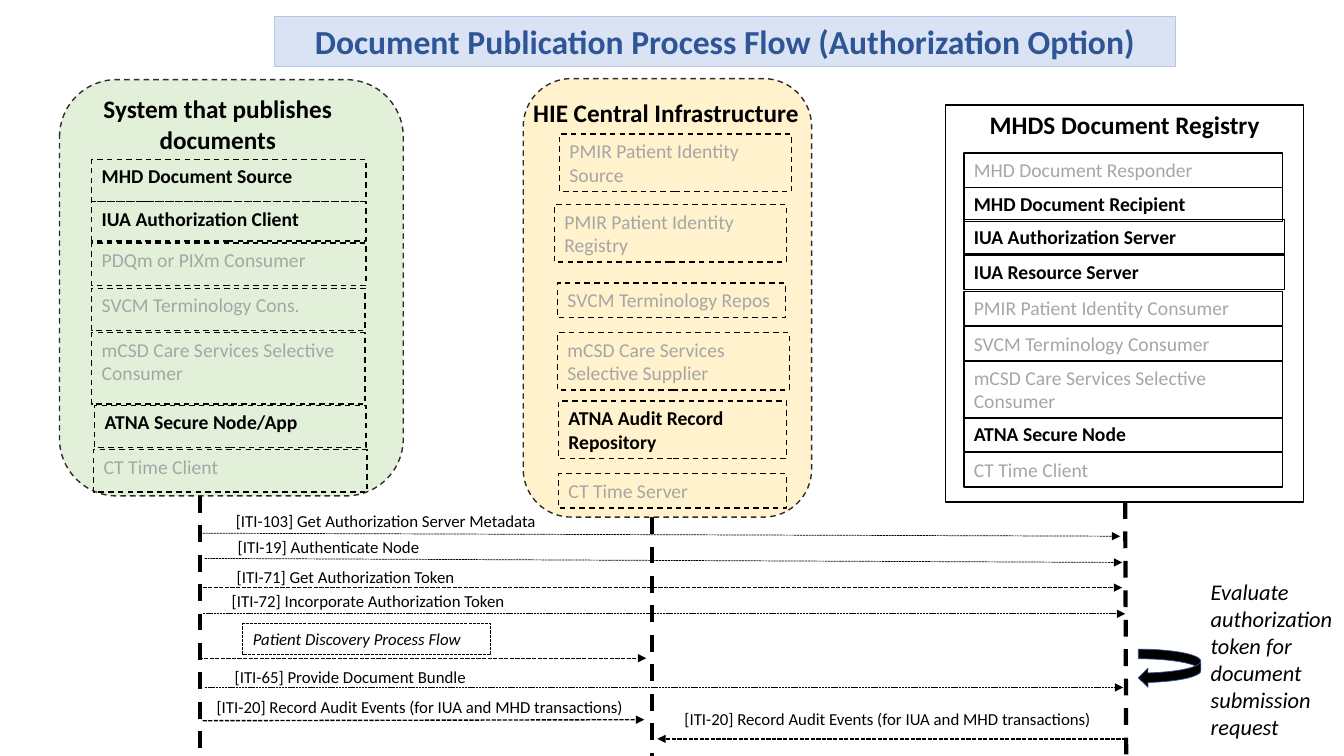
from lxml import etree
from pptx import Presentation
from pptx.dml.color import RGBColor
from pptx.enum.dml import MSO_LINE
from pptx.enum.shapes import MSO_CONNECTOR, MSO_SHAPE
from pptx.enum.text import MSO_ANCHOR, PP_ALIGN
from pptx.oxml.ns import qn
from pptx.util import Inches, Pt

DASH, FINE_DASH = MSO_LINE.DASH, MSO_LINE.SQUARE_DOT
LEFT, CENTER, TOP = PP_ALIGN.LEFT, PP_ALIGN.CENTER, MSO_ANCHOR.TOP
RECTANGLE, ROUNDED = MSO_SHAPE.RECTANGLE, MSO_SHAPE.ROUNDED_RECTANGLE
CURVED_ARROW = MSO_SHAPE.CURVED_RIGHT_ARROW
STRAIGHT = MSO_CONNECTOR.STRAIGHT

BLACK = RGBColor(0x00, 0x00, 0x00)
WHITE = RGBColor(0xFF, 0xFF, 0xFF)
GRAY = RGBColor(0xA6, 0xA6, 0xA6)
GREEN = RGBColor(0xE2, 0xF0, 0xD9)
YELLOW = RGBColor(0xFF, 0xF2, 0xCC)
PALE_BLUE = RGBColor(0xDA, 0xE3, 0xF3)
SOFT_BLUE = RGBColor(0xB4, 0xC7, 0xE7)
DARK_BLUE = RGBColor(0x2F, 0x55, 0x97)
ARROW_BLUE = RGBColor(0x32, 0x54, 0x91)

ACTIVE = {"bold": True, "color": BLACK}
INACTIVE = {"bold": False, "color": GRAY}
HEADING = {"size": 18, "bold": True}

PUBLISHER_ACTORS = [
    ("MHD Document Source", ACTIVE, (0.91, 1.58, 2.72, 0.42)),
    ("IUA Authorization Client", ACTIVE, (0.91, 2.0, 2.72, 0.39)),
    ("PDQm or PIXm Consumer", INACTIVE, (0.91, 2.41, 2.72, 0.42)),
    ("SVCM Terminology Cons.", INACTIVE, (0.91, 2.86, 2.71, 0.42)),
    ("mCSD Care Services Selective Consumer", INACTIVE, (0.91, 3.3, 2.71, 0.71)),
    ("ATNA Secure Node/App", ACTIVE, (0.94, 4.02, 2.69, 0.42)),
    ("CT Time Client", INACTIVE, (0.93, 4.46, 2.71, 0.42)),
]
CENTRAL_ACTORS = [
    ("PMIR Patient Identity Source", INACTIVE, (5.55, 1.33, 2.3, 0.57)),
    ("PMIR Patient Identity Registry", INACTIVE, (5.5, 2.03, 2.3, 0.57)),
    ("SVCM Terminology Repos", INACTIVE, (5.53, 2.81, 2.26, 0.34)),
    ("mCSD Care Services Selective Supplier", INACTIVE, (5.53, 3.3, 2.3, 0.57)),
    ("ATNA Audit Record Repository", ACTIVE, (5.54, 3.98, 2.26, 0.57)),
    ("CT Time Server", INACTIVE, (5.54, 4.7, 2.26, 0.34)),
]
REGISTRY_ACTORS = [
    ("MHD Document Responder", INACTIVE, (9.56, 1.52, 3.16, 0.34)),
    ("MHD Document Recipient", ACTIVE, (9.56, 1.86, 3.16, 0.34)),
    ("IUA Authorization Server", ACTIVE, (9.56, 2.18, 3.18, 0.34)),
    ("IUA Resource Server", ACTIVE, (9.56, 2.53, 3.18, 0.34)),
    ("PMIR Patient Identity Consumer", INACTIVE, (9.56, 2.89, 3.16, 0.34)),
    ("SVCM Terminology Consumer", INACTIVE, (9.56, 3.24, 3.16, 0.34)),
    ("mCSD Care Services Selective Consumer", INACTIVE, (9.56, 3.58, 3.16, 0.57)),
    ("ATNA Secure Node", ACTIVE, (9.56, 4.14, 3.16, 0.34)),
    ("CT Time Client", INACTIVE, (9.56, 4.49, 3.16, 0.34)),
]
LIFELINES = [
    (1.98, 3.75, 1.98, 7.5),
    (6.47, 5.13, 6.47, 7.5),
    (11.16, 4.98, 11.17, 7.5),
]
AUDIT = "[ITI-20] Record Audit Events (for IUA and MHD transactions)"
MESSAGES = [
    ("[ITI-103] Get Authorization Server Metadata", (2.24, 5.02, 3.28), (2.01, 5.29, 11.11, 5.32), 0.5),
    ("[ITI-19] Authenticate Node", (2.26, 5.28, 2.86), (2.03, 5.54, 11.13, 5.58), 0.5),
    ("[ITI-71] Get Authorization Token", (2.25, 5.57, 2.86), (2.01, 5.83, 11.13, 5.83), 1),
    ("[ITI-72] Incorporate Authorization Token", (2.2, 5.81, 3.69), (2.01, 6.09, 11.16, 6.09), 0.5),
    ("[ITI-65] Provide Document Bundle", (2.23, 6.57, 2.86), (2.03, 6.82, 11.14, 6.82), 0.5),
    (AUDIT, (2.05, 6.86, 4.58), (2.01, 7.15, 6.39, 7.14), 1),
    (AUDIT, (6.69, 6.98, 4.58), (11.17, 7.33, 6.52, 7.33), 1),
]
DISCOVERY_ARROW = (1.97, 6.53, 6.41, 6.53)

presentation = Presentation()
presentation.slide_width, presentation.slide_height = Inches(13.33), Inches(7.5)
slide = presentation.slides.add_slide(presentation.slide_layouts[6])


def write(shape, text, size=12, color=BLACK, bold=False, italic=False, align=LEFT, wrap=True):
    frame = shape.text_frame
    frame.word_wrap, frame.vertical_anchor = wrap, TOP
    paragraph = frame.paragraphs[0]
    paragraph.alignment = align
    run = paragraph.add_run()
    run.text = text
    run.font.color.rgb = color
    settings = {"name": "Calibri", "size": Pt(size), "bold": bold, "italic": italic}
    for name, value in settings.items():
        setattr(run.font, name, value)


def set_line(line, color, width, dash):
    line.color.rgb, line.width = color, Pt(width)
    if dash:
        line.dash_style = dash


def add_box(bounds, kind=RECTANGLE, fill=None, line=BLACK, width=1, dash=None):
    shape = slide.shapes.add_shape(kind, *map(Inches, bounds))
    shape.shadow.inherit = False
    if fill is None:
        shape.fill.background()
    else:
        shape.fill.solid()
        shape.fill.fore_color.rgb = fill
    set_line(shape.line, line, width, dash)
    return shape


def add_panel(bounds, fill):
    panel = add_box(bounds, ROUNDED, fill, dash=DASH)
    color = panel.line._get_or_add_ln().find(".//" + qn("a:srgbClr"))
    etree.SubElement(color, qn("a:alpha"), val="81000")


def add_label(bounds, text, **style):
    write(slide.shapes.add_textbox(*map(Inches, bounds)), text, **style)


def add_line(ends, width, dash, arrow=False):
    connector = slide.shapes.add_connector(STRAIGHT, *map(Inches, ends))
    set_line(connector.line, BLACK, width, dash)
    if arrow:
        etree.SubElement(connector.line._get_or_add_ln(), qn("a:tailEnd"), type="triangle")
    etree.SubElement(connector._element.spPr, qn("a:effectLst"))


def add_actors(actors, dash=None):
    for text, style, bounds in actors:
        write(add_box(bounds, dash=dash), text, size=14, **style)


title = add_box((2.72, 0.16, 8.94, 0.5), fill=PALE_BLUE, line=SOFT_BLUE, width=0.75)
write(title, "Document Publication Process Flow (Authorization Option)",
      size=24, color=DARK_BLUE, bold=True, align=CENTER)

for ends in LIFELINES:
    add_line(ends, 3, DASH)

add_panel((0.59, 0.79, 3.41, 4.13), GREEN)
add_label((0.34, 0.88, 3.64, 0.82), "System that publishes documents", align=CENTER, **HEADING)
add_actors(PUBLISHER_ACTORS, DASH)

add_panel((5.19, 0.78, 2.86, 4.35), YELLOW)
add_label((5.19, 0.92, 2.86, 0.4), "HIE Central Infrastructure", wrap=False, **HEADING)
add_actors(CENTRAL_ACTORS, DASH)

registry = add_box((9.38, 1.04, 3.55, 3.94))
write(registry, "MHDS Document Registry", align=CENTER, **HEADING)
add_actors(REGISTRY_ACTORS)

for text, (left, top, width), ends, weight in MESSAGES:
    add_line(ends, weight, FINE_DASH, arrow=True)
    add_label((left, top, width, 0.3), text)

add_line(DISCOVERY_ARROW, 1, FINE_DASH, arrow=True)
discovery = add_box((2.41, 6.19, 2.46, 0.3), fill=WHITE, width=0.75, dash=FINE_DASH)
write(discovery, "Patient Discovery Process Flow", italic=True)

evaluation = add_box((11.29, 6.44, 0.62, 0.38), CURVED_ARROW, BLACK, ARROW_BLUE, 0.5)
evaluation._element.spPr.find(qn("a:xfrm")).set("flipH", "1")
add_label((11.91, 5.69, 1.42, 1.72), "Evaluate authorization token for document submission request",
          size=16, italic=True)

presentation.save("out.pptx")
